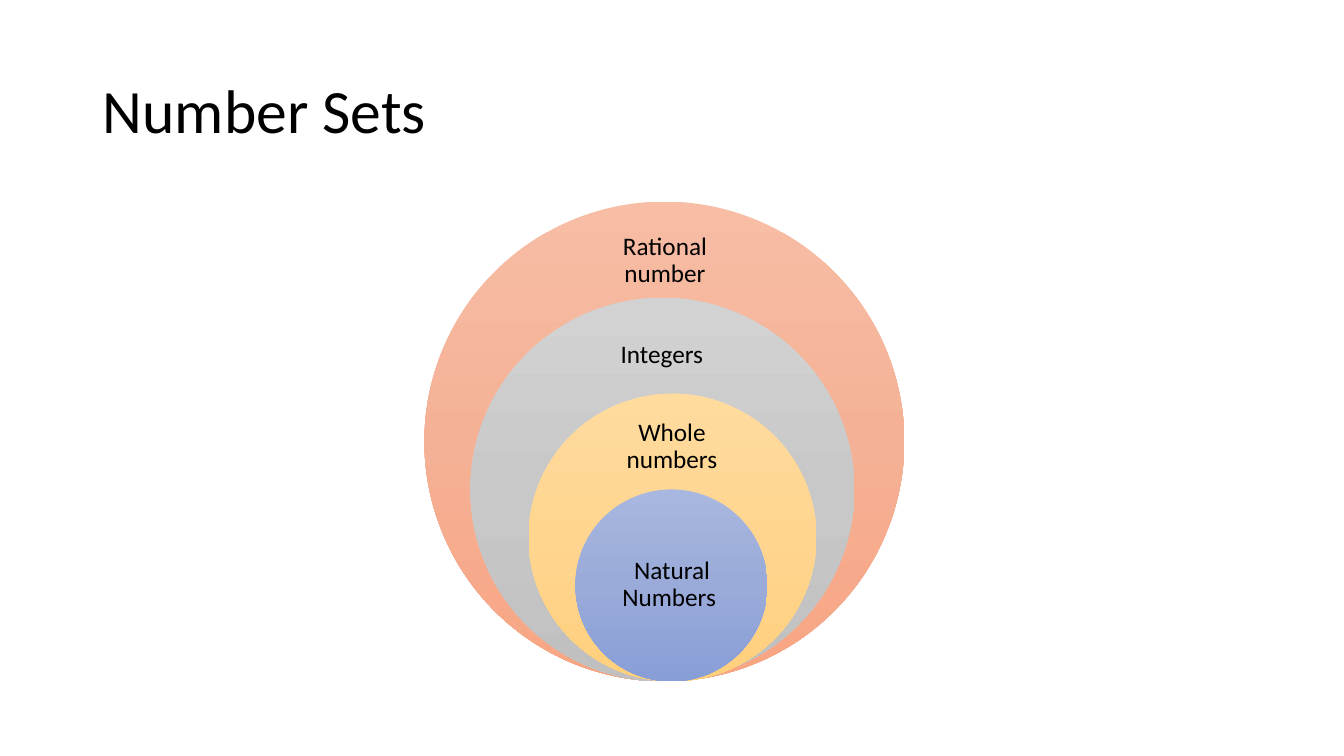
from copy import deepcopy

from pptx import Presentation
from pptx.dml.color import RGBColor
from pptx.enum.shapes import MSO_SHAPE
from pptx.enum.text import MSO_ANCHOR, MSO_AUTO_SIZE, PP_ALIGN
from pptx.util import Inches, Pt

BLACK = RGBColor(0, 0, 0)
ORANGES = [RGBColor.from_string(c) for c in ("F7BDA5", "F5B196", "F8A582")]
GREYS = [RGBColor.from_string(c) for c in ("D2D2D2", "C8C8C8", "C0C0C0")]
YELLOWS = [RGBColor.from_string(c) for c in ("FFDB9E", "FFD590", "FFD07C")]
BLUES = [RGBColor.from_string(c) for c in ("A8B7DF", "9AABD9", "889ED7")]

FONT = "Calibri"
TITLE = "Number Sets"
# Outermost first: label, gradient, circle centre x, label box (left, top, width, height)
NUMBER_SETS = [
    ("Rational number", ORANGES, 6.59, (5.93, 2.23, 1.33, 0.71)),
    ("Integers", GREYS, 6.57, (5.9, 3.18, 1.33, 0.69)),
    ("Whole numbers", YELLOWS, 6.67, (6, 4.11, 1.33, 0.64)),
    ("Natural Numbers ", BLUES, 6.66, (5.99, 5.33, 1.35, 0.95)),
]
OUTER_DIAMETER = 4.76
SHRINK = 0.2  # each circle loses this share of the outer diameter
BASELINE = 6.76  # all circles touch here


def write(frame, text, size, align):
    """Fill a text frame with one vertically centred paragraph."""
    frame.word_wrap = True
    frame.auto_size = MSO_AUTO_SIZE.NONE
    frame.vertical_anchor = MSO_ANCHOR.MIDDLE
    paragraph = frame.paragraphs[0]
    paragraph.alignment = align
    paragraph.line_spacing = 0.9
    run = paragraph.add_run()
    run.text = text
    run.font.name = FONT
    run.font.size = Pt(size)
    run.font.color.rgb = BLACK


def fill_gradient(fill, colors):
    """Apply an evenly spaced top-to-bottom gradient of three colours."""
    fill.gradient()
    fill.gradient_angle = 270
    stop_list = fill._fill._gradFill.gsLst
    stop_list.insert(1, deepcopy(stop_list[0]))
    for index, (stop, color) in enumerate(zip(fill.gradient_stops, colors)):
        stop.position = index / (len(colors) - 1)
        stop.color.rgb = color


def add_circle(shapes, level, center_x, colors):
    """Draw the circle for a nesting level, resting on the baseline."""
    diameter = OUTER_DIAMETER * (1 - SHRINK * level)
    circle = shapes.add_shape(
        MSO_SHAPE.OVAL, Inches(center_x - diameter / 2),
        Inches(BASELINE - diameter), Inches(diameter), Inches(diameter))
    circle.shadow.inherit = False
    circle.line.fill.background()
    fill_gradient(circle.fill, colors)


def add_label(shapes, text, box):
    """Add the centred name of a number set."""
    frame = shapes.add_textbox(*map(Inches, box)).text_frame
    frame.margin_left = frame.margin_right = Inches(0.14)
    frame.margin_top = frame.margin_bottom = Inches(0.14)
    write(frame, text, 18, PP_ALIGN.CENTER)


prs = Presentation()
prs.slide_width, prs.slide_height = Inches(13.33), Inches(7.5)
slide = prs.slides.add_slide(prs.slide_layouts[5])

title = slide.shapes.title
title.left, title.top = Inches(0.92), Inches(0.4)
title.width, title.height = Inches(11.5), Inches(1.45)
write(title.text_frame, TITLE, 44, PP_ALIGN.LEFT)

diagram = slide.shapes.add_group_shape().shapes
for level, (name, colors, center_x, box) in enumerate(NUMBER_SETS):
    add_circle(diagram, level, center_x, colors)
    add_label(diagram, name, box)

prs.save("out.pptx")
